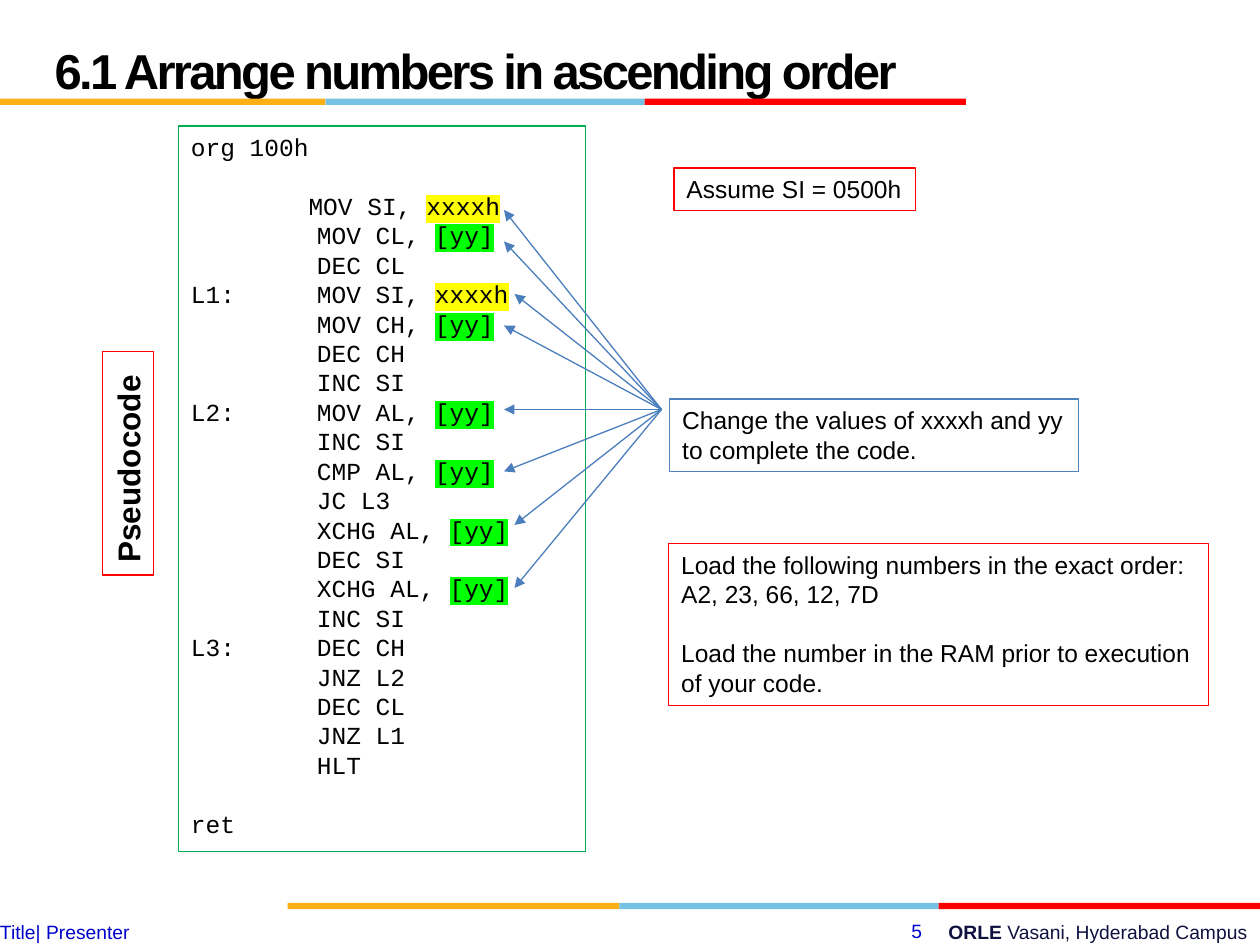
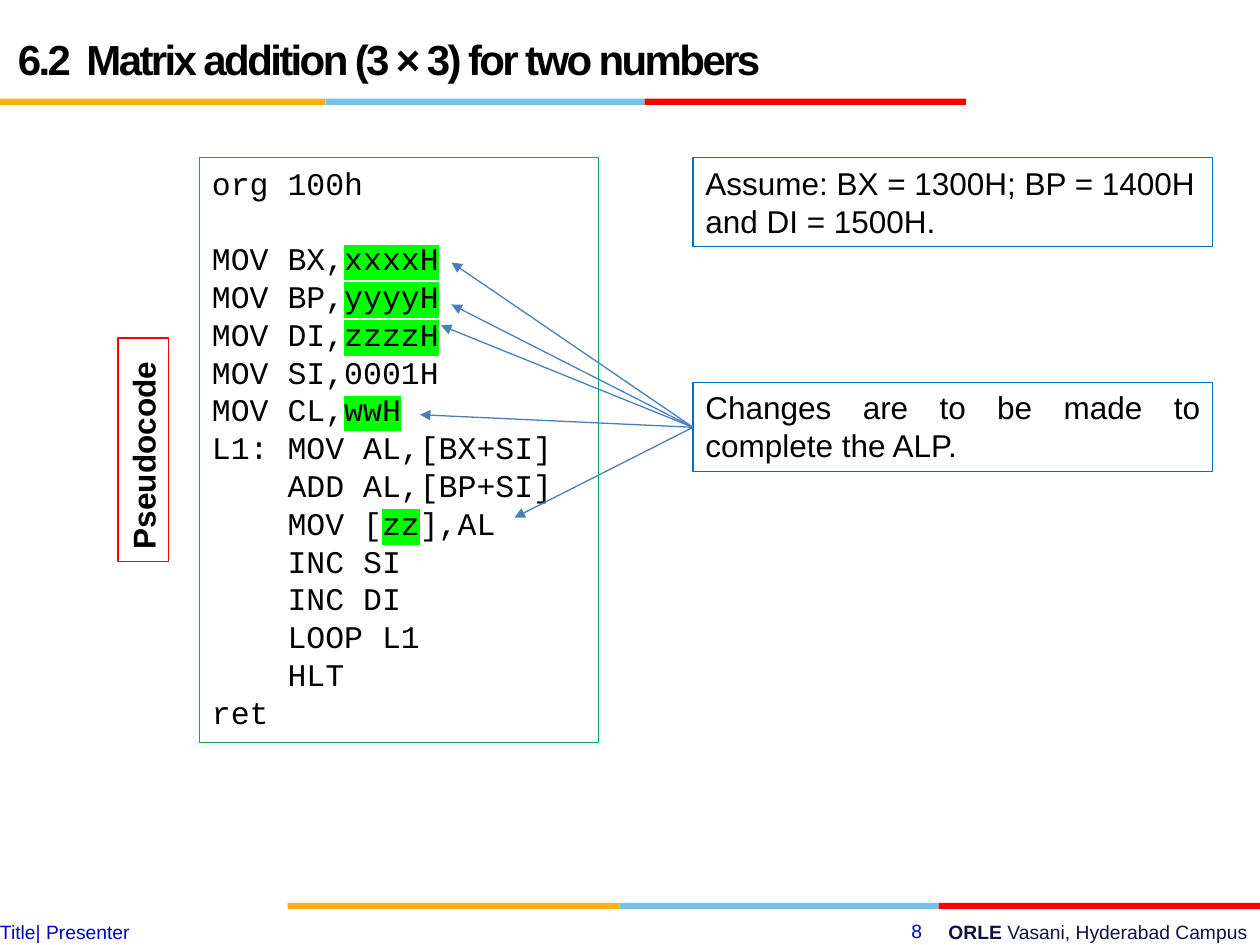
import pptx
import pptx.dml.color
import pptx.enum.shapes
import pptx.enum.text
import pptx.oxml.ns
import pptx.util
from lxml import etree

RGBColor = pptx.dml.color.RGBColor
ALIGN = pptx.enum.text.PP_ALIGN

BLACK = RGBColor(0x00, 0x00, 0x00)
NAVY = RGBColor(0x10, 0x11, 0x41)
FOOTER_BLUE = RGBColor(0x00, 0x00, 0xCC)
ORANGE = RGBColor(0xFC, 0xB0, 0x17)
SKY = RGBColor(0x76, 0xC2, 0xE5)
RED = RGBColor(0xFF, 0x00, 0x00)
GREEN = RGBColor(0x00, 0xB0, 0x50)
STEEL = RGBColor(0x4F, 0x81, 0xBD)
ARROW_BLUE = RGBColor(0x4B, 0x7E, 0xBC)
BLUE = RGBColor(0x00, 0x70, 0xC0)
MARK_YELLOW = RGBColor(0xFF, 0xFF, 0x00)
MARK_GREEN = RGBColor(0x00, 0xFF, 0x00)

WIDTH = pptx.util.Inches(10)
HEIGHT = pptx.util.Inches(7.5)
COLUMNS, ROWS = 120, 90
LINE_RATIO = 1.2
BODY_FONT, CODE_FONT = "Arial", "Courier New"

SORT_CODE = [
    "org 100h",
    "MOV SI, *xxxxh*",
    "\tMOV CL, *[yy]*",
    "\tDEC CL",
    "L1:\tMOV SI, *xxxxh*",
    "\tMOV CH, *[yy]*",
    "\tDEC CH",
    "\tINC SI",
    "L2:\tMOV AL, *[yy]*",
    "\tINC SI",
    "\tCMP AL, *[yy]*",
    "\tJC L3",
    "\tXCHG AL, *[yy]*",
    "\tDEC SI",
    "\tXCHG AL, *[yy]*",
    "\tINC SI",
    "L3:\tDEC CH",
    "\tJNZ L2",
    "\tDEC CL",
    "\tJNZ L1",
    "\tHLT",
    "ret",
]
MATRIX_CODE = [
    "org 100h",
    "MOV BX,*xxxxH*",
    "MOV BP,*yyyyH*",
    "MOV DI,*zzzzH*",
    "MOV SI,0001H",
    "MOV CL,*wwH*",
    "L1:\tMOV AL,[BX+SI]",
    "\tADD AL,[BP+SI]",
    "\tMOV [*zz*],AL",
    "\tINC SI",
    "\tINC DI",
    "\tLOOP L1",
    "\tHLT",
    "ret",
]


def across(columns):
    return round(WIDTH * columns / COLUMNS)


def down(rows):
    return round(HEIGHT * rows / ROWS)


def area(column, row, columns, rows):
    return across(column), down(row), across(columns), down(rows)


def add_span(para, text, size=14, font=BODY_FONT, color=BLACK, bold=False,
             mark=None, tracking=None):
    span = para.add_run()
    span.text = text
    span.font.size = pptx.util.Pt(size)
    span.font.name = font
    span.font.bold = bold
    span.font.color.rgb = color
    properties = span.font._element
    if tracking is not None:
        properties.set("spc", str(tracking))
    if mark is not None:
        highlight = etree.Element(pptx.oxml.ns.qn("a:highlight"))
        etree.SubElement(highlight, pptx.oxml.ns.qn("a:srgbClr"), val=str(mark))
        properties.find(pptx.oxml.ns.qn("a:solidFill")).addnext(highlight)


def set_indent(para, margin, first=0):
    properties = para._p.get_or_add_pPr()
    properties.set("marL", str(margin))
    properties.set("indent", str(first))


def add_box(page, place, lines, outline=None, size=14, font=BODY_FONT,
            color=BLACK, bold=False, align=ALIGN.LEFT, wrap=True, turn=0,
            gap_after=(), hang=0, indents=None, inset=None):
    """Text box; parts between asterisks are highlighted, hang is in columns."""
    box = page.shapes.add_textbox(*place)
    box.rotation = turn
    if outline is not None:
        box.line.color.rgb = outline
        box.line.width = pptx.util.Pt(0.75)
    frame = box.text_frame
    frame.word_wrap = wrap
    if inset is not None:
        frame.margin_left = frame.margin_right = inset
        frame.margin_top = frame.margin_bottom = inset
    pitch = pptx.util.Pt(size * LINE_RATIO)
    for number, line in enumerate(lines):
        para = frame.paragraphs[0] if number == 0 else frame.add_paragraph()
        para.alignment = align
        para.line_spacing = pitch
        if line in gap_after:
            para.space_after = pitch
        if indents and line in indents:
            set_indent(para, across(indents[line]))
        elif hang:
            set_indent(para, across(hang), -across(hang))
        for index, part in enumerate(line.split("*")):
            mark = None
            if index % 2:
                mark = MARK_YELLOW if part == "xxxxh" else MARK_GREEN
            if part:
                add_span(para, part, size, font, color, bold, mark)
    return box


def add_band(page, edges, row, rows):
    """Three-colour stripe between successive column edges."""
    for left, right, color in zip(edges, edges[1:], (ORANGE, SKY, RED)):
        stripe = page.shapes.add_shape(
            pptx.enum.shapes.MSO_SHAPE.RECTANGLE,
            *area(left, row, right - left, rows))
        stripe.shadow.inherit = False
        stripe.fill.solid()
        stripe.fill.fore_color.rgb = color
        stripe.line.fill.background()


def add_footer(page, number):
    campus = add_box(page, area(43, 86.5, 77, 3.5), [""], align=ALIGN.RIGHT)
    para = campus.text_frame.paragraphs[0]
    add_span(para, "ORLE ", size=11, color=NAVY, bold=True)
    add_span(para, "Vasani, Hyderabad Campus", size=11, color=NAVY)
    add_box(page, area(80, 87, 9, 3.4), [str(number)], size=11,
            color=FOOTER_BLUE, align=ALIGN.RIGHT)
    add_box(page, area(0, 87.6, 84, 2.3), ["Title| Presenter"], size=11,
            color=FOOTER_BLUE, inset=0)


def set_title(page, text, place, size):
    title = page.shapes.title
    title.left, title.top, title.width, title.height = place
    frame = title.text_frame
    frame.auto_size = pptx.enum.text.MSO_AUTO_SIZE.NONE
    frame.vertical_anchor = pptx.enum.text.MSO_ANCHOR.MIDDLE
    para = frame.paragraphs[0]
    para.alignment = ALIGN.LEFT
    para.line_spacing = pptx.util.Pt(36)
    add_span(para, text, size=size, bold=True, tracking=-150)


def add_page(deck, title, place, size, number):
    page = deck.slides.add_slide(deck.slide_layouts[5])
    add_band(page, (27.4, 59, 89.4, 120), 86, 0.6)
    add_band(page, (0, 31, 61.4, 92), 9.4, 0.6)
    add_footer(page, number)
    set_title(page, title, place, size)
    return page


def add_arrows(page, start, tips):
    """Arrows that fan out from one grid point to several tips."""
    for column, row in tips:
        arrow = page.shapes.add_connector(
            pptx.enum.shapes.MSO_CONNECTOR.STRAIGHT,
            across(start[0]), down(start[1]), across(column), down(row))
        arrow.line.color.rgb = ARROW_BLUE
        arrow.line.width = pptx.util.Pt(0.75)
        etree.SubElement(arrow.line._get_or_add_ln(),
                         pptx.oxml.ns.qn("a:tailEnd"), type="triangle")
        etree.SubElement(arrow._element.spPr, pptx.oxml.ns.qn("a:effectLst"))


def add_side_label(page, column, row):
    add_box(page, area(column, row, 21.3, 4.85), ["Pseudocode"], outline=RED,
            size=18, bold=True, wrap=False, turn=270)


def add_sorting_page(deck):
    page = add_page(deck, "6.1 Arrange numbers in ascending order",
                    area(4, 2, 83, 9), 28, 5)
    add_box(page, area(17, 12, 38.8, 69.1), SORT_CODE, outline=GREEN,
            font=CODE_FONT, gap_after=("org 100h", "\tHLT"), hang=12,
            indents={"MOV SI, *xxxxh*": 11.2})
    add_box(page, area(64.2, 16, 23, 4.05), ["Assume SI = 0500h"],
            outline=RED, wrap=False)
    add_box(page, area(63.8, 38, 38.9, 6.9),
            ["Change the values of xxxxh and yy", "to complete the code."],
            outline=STEEL, wrap=False)
    add_arrows(page, (63, 39), [(48, 20), (48, 23), (49, 28), (48, 31),
                                (48, 39), (48, 44.9), (49, 50), (49, 56)])
    add_side_label(page, 1.55, 41.7)
    numbers = "A2, 23, 66, 12, 7D"
    add_box(page, area(63.7, 51.8, 51.4, 15.4),
            ["Load the following numbers in the exact order:", numbers,
             "Load the number in the RAM prior to execution of your code."],
            outline=RED, gap_after=(numbers,))


def add_matrix_page(deck):
    page = add_page(deck, "6.2  Matrix addition (3 × 3) for two numbers",
                    area(0.5, 1.5, 83, 7), 24, 8)
    add_box(page, area(19, 15, 38, 55.7), MATRIX_CODE, outline=GREEN,
            size=18, font=CODE_FONT, gap_after=("org 100h",), hang=7.2)
    add_box(page, area(66, 15, 49.5, 8.5),
            ["Assume: BX = 1300H; BP = 1400H", "and DI = 1500H."],
            outline=BLUE, size=18)
    add_box(page, area(66, 36.4, 49.5, 8.5),
            ["Changes are to be made to complete the ALP."],
            outline=BLUE, size=18, align=ALIGN.JUSTIFY)
    add_arrows(page, (66, 40.7), [(43, 25), (43, 29), (42, 31),
                                  (40, 39.5), (49, 49.3)])
    add_side_label(page, 3, 40.4)


def main():
    deck = pptx.Presentation()
    deck.slide_width, deck.slide_height = WIDTH, HEIGHT
    add_sorting_page(deck)
    add_matrix_page(deck)
    deck.save("out.pptx")


if __name__ == "__main__":
    main()
